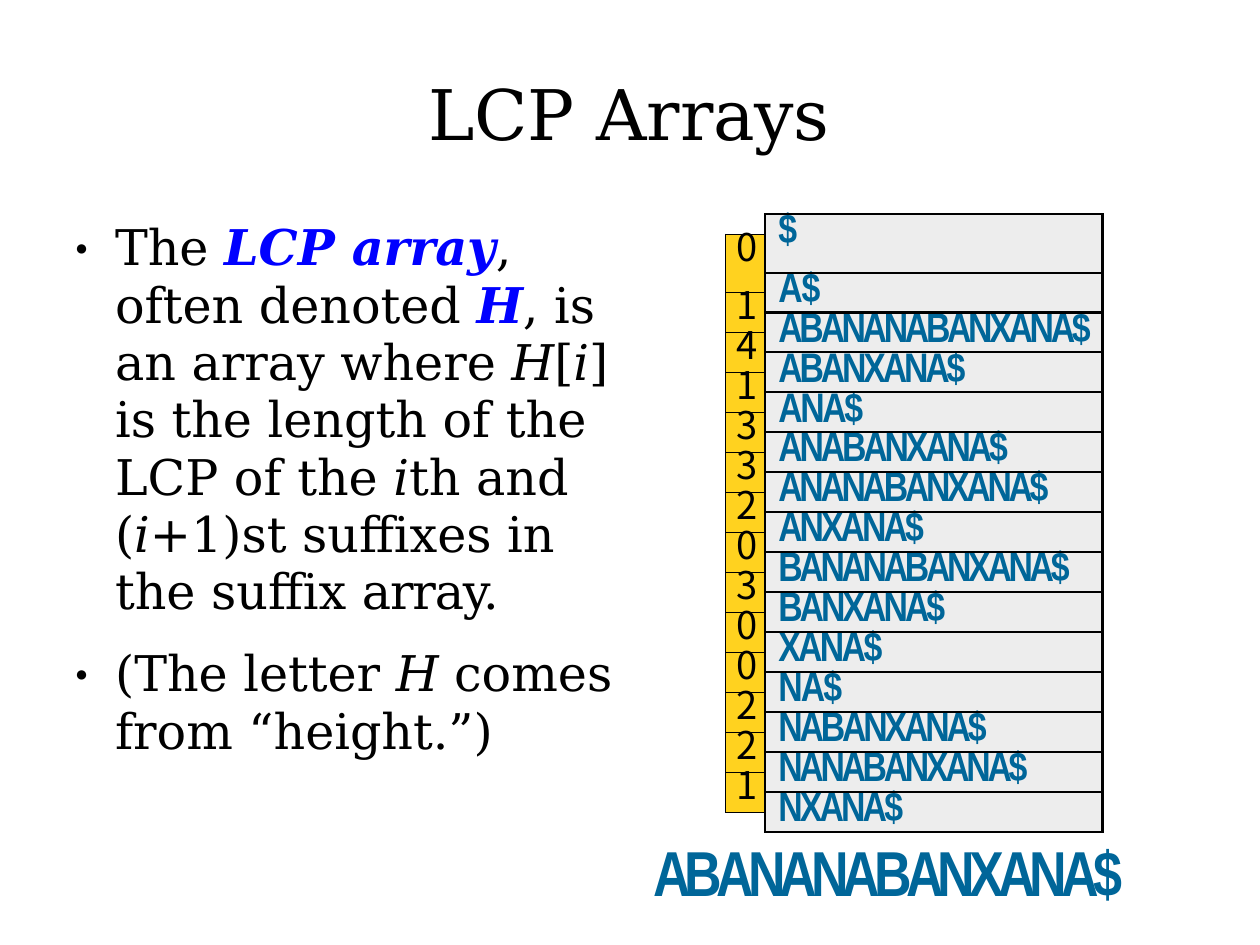
"""Build the LCP Arrays slide: title, bullets, suffix table and the full string."""
from dataclasses import dataclass

import pptx
import pptx.dml.color
import pptx.enum.text
import pptx.oxml
import pptx.oxml.ns
import pptx.util

PX = 8007
COLORS = {"black": "000000", "blue": "0000FF", "teal": "006699", "gold": "FFD21F", "gray": "EDEDED"}
SERIF, NARROW, SANS = "DejaVu Serif", "Arial Narrow", "Noto Sans CJK SC"
ROW_H = 20
THICK, THIN = 1.5, 0.25


@dataclass(frozen=True)
class Style:
    font: str
    size: float
    color: str
    bold: bool = False


@dataclass(frozen=True)
class Span:
    text: str
    italic: bool = False
    key: bool = False
    spc: float = 0


@dataclass(frozen=True)
class Suffix:
    text: str
    spc: float
    lcp: str = ""


@dataclass(frozen=True)
class Borders:
    left: float = 0
    right: float = 0
    top: float = 0
    bottom: float = 0


@dataclass(frozen=True)
class Label:
    text: str
    style: Style
    spc: float
    x: int
    y: int
    w: int
    h: int


BODY = Style(SERIF, 31, "black")
SUFFIX = Style(NARROW, 26, "teal", True)
HEIGHT = Style(SANS, 24, "black")
BLANK = Style(SANS, 1, "black")

LABELS = [
    Label("LCP Arrays", Style(SERIF, 44, "black"), -0.1, 428, 70, 405, 87),
    Label("ABANANABANXANA$", Style(NARROW, 40, "teal", True), -3.7, 653, 832, 480, 79),
]
BULLETS = [
    [Span("The "), Span("LCP array", True, True), Span(", often denoted "),
     Span("H", True, True), Span(", is an array where "), Span("H", True), Span("["),
     Span("i", True), Span("] is the length of the LCP of the "), Span("i", True),
     Span("th and ("), Span("i", True), Span("+1)st suffixes in the suffix "),
     Span("array.", spc=-0.7)],
    [Span("(The letter "), Span("H", True), Span(" comes from “height.”)")],
]
SUFFIXES = [
    Suffix("$", 0, "0"),
    Suffix("A$", -0.7, "1"),
    Suffix("ABANANABANXANA$", -2.1, "4"),
    Suffix("ABANXANA$", -2, "1"),
    Suffix("ANA$", -1.5, "3"),
    Suffix("ANABANXANA$", -2, "3"),
    Suffix("ANANABANXANA$", -2.1, "2"),
    Suffix("ANXANA$", -1.9, "0"),
    Suffix("BANANABANXANA$", -2.1, "3"),
    Suffix("BANXANA$", -1.9, "0"),
    Suffix("XANA$", -1.7, "0"),
    Suffix("NA$", -1.2, "2"),
    Suffix("NABANXANA$", -2, "2"),
    Suffix("NANABANXANA$", -2.1, "1"),
    Suffix("NXANA$", -1.8),
]


def px(n: int) -> pptx.util.Emu:
    return pptx.util.Emu(n * PX)


def rgb(name: str) -> pptx.dml.color.RGBColor:
    return pptx.dml.color.RGBColor.from_string(COLORS[name])


def set_font(p, style: Style) -> None:
    p.font.name = style.font
    p.font.size = pptx.util.Pt(style.size)
    p.font.bold = style.bold
    p.font.color.rgb = rgb(style.color)


def add_run(p, text: str, spc: float = 0):
    r = p.add_run()
    r.text = text
    if spc:
        r._r.get_or_add_rPr().set("spc", str(round(spc * 100)))
    return r


def add_element(parent, tag: str, **attrs: str):
    e = pptx.oxml.parse_xml(f"<a:{tag} {pptx.oxml.ns.nsdecls('a')}/>")
    for name, value in attrs.items():
        e.set(name, value)
    parent.append(e)
    return e


def add_box(s, x: int, y: int, w: int, h: int, top: int):
    tf = s.shapes.add_textbox(px(x), px(y), px(w), px(h)).text_frame
    tf.word_wrap = True
    tf.auto_size = pptx.enum.text.MSO_AUTO_SIZE.SHAPE_TO_FIT_TEXT
    tf.margin_left = tf.margin_right = tf.margin_bottom = 0
    tf.margin_top = px(top)
    return tf


def add_label(s, label: Label) -> None:
    p = add_box(s, label.x, label.y, label.w, label.h, 1).paragraphs[0]
    set_font(p, label.style)
    add_run(p, label.text, label.spc)


def add_bullets(s) -> None:
    tf = add_box(s, 75, 217, 541, 542, 3)
    for i, spans in enumerate(BULLETS):
        p = tf.add_paragraph() if i else tf.paragraphs[0]
        p.line_spacing = 0.97
        if i:
            p.space_before = pptx.util.Pt(15.6)
        pPr = p._p.get_or_add_pPr()
        pPr.set("marL", str(px(40)))
        pPr.set("indent", str(-px(40)))
        add_element(pPr, "buSzPct", val="44000")
        add_element(pPr, "buFont", typeface="Arial")
        add_element(pPr, "buChar", char="●")
        set_font(p, BODY)
        for span in spans:
            r = add_run(p, span.text, span.spc)
            if span.italic:
                r.font.italic = True
            if span.key:
                r.font.bold = True
                r.font.color.rgb = rgb("blue")


def set_borders(cell, borders: Borders) -> None:
    tcPr = cell._tc.get_or_add_tcPr()
    widths = {"lnL": borders.left, "lnR": borders.right, "lnT": borders.top, "lnB": borders.bottom}
    for tag, width in widths.items():
        ln = add_element(tcPr, tag, w=str(pptx.util.Pt(width)))
        if width:
            add_element(add_element(ln, "solidFill"), "srgbClr", val=COLORS["black"])
        else:
            add_element(ln, "noFill")


def fill_cell(cell, text: str, style: Style, borders: Borders, color: str = "",
              indent: int = 0, spc: float = 0) -> None:
    cell.margin_left = px(indent)
    cell.margin_right = cell.margin_top = cell.margin_bottom = 0
    set_borders(cell, borders)
    if color:
        cell.fill.solid()
        cell.fill.fore_color.rgb = rgb(color)
    else:
        cell.fill.background()
    p = cell.text_frame.paragraphs[0]
    set_font(p, style)
    if text:
        p.line_spacing = pptx.util.Pt(24.2)
        add_run(p, text, spc)
    else:
        add_element(p._p, "endParaRPr", sz=str(round(style.size * 100)))


def add_pair(t, row: int, col: int, text: str, style: Style, borders: Borders,
             color: str, indent: int, spc: float = 0) -> None:
    top, bottom = t.cell(row, col), t.cell(row + 1, col)
    top.merge(bottom)
    fill_cell(top, text, style, borders, color, indent, spc)
    fill_cell(bottom, "", BLANK, borders, color)


def add_suffix_table(s) -> None:
    count = 2 * len(SUFFIXES)
    t = s.shapes.add_table(count, 2, px(725), px(214), px(377), px(count * ROW_H)).table
    t.first_row = t.horz_banding = False
    t.columns[0].width, t.columns[1].width = px(40), px(337)
    for row in t.rows:
        row.height = px(ROW_H)
    fill_cell(t.cell(0, 0), "", BLANK, Borders(right=THICK, bottom=THIN))
    fill_cell(t.cell(count - 1, 0), "", BLANK, Borders(right=THICK, top=THIN))
    for i, suffix in enumerate(SUFFIXES):
        add_pair(t, 2 * i, 1, suffix.text, SUFFIX, Borders(THICK, THICK, THICK, THICK),
                 "gray", 13, suffix.spc)
        if suffix.lcp:
            add_pair(t, 2 * i + 1, 0, suffix.lcp, HEIGHT, Borders(THIN, THICK, THIN, THIN), "gold", 11)


def main() -> None:
    prs = pptx.Presentation()
    prs.slide_width, prs.slide_height = pptx.util.Pt(794), pptx.util.Pt(595.5)
    s = prs.slides.add_slide(prs.slide_layouts[6])
    for label in LABELS:
        add_label(s, label)
    add_bullets(s)
    add_suffix_table(s)
    prs.save("out.pptx")


if __name__ == "__main__":
    main()
